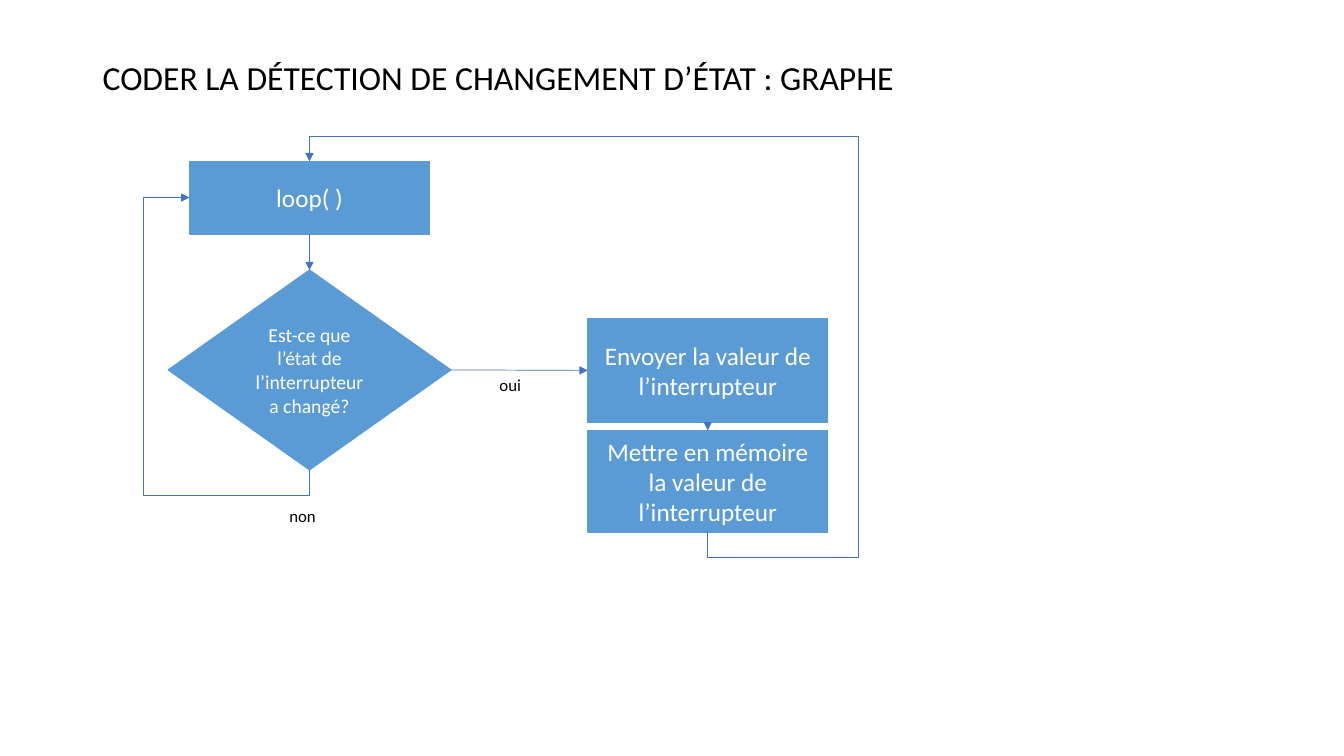
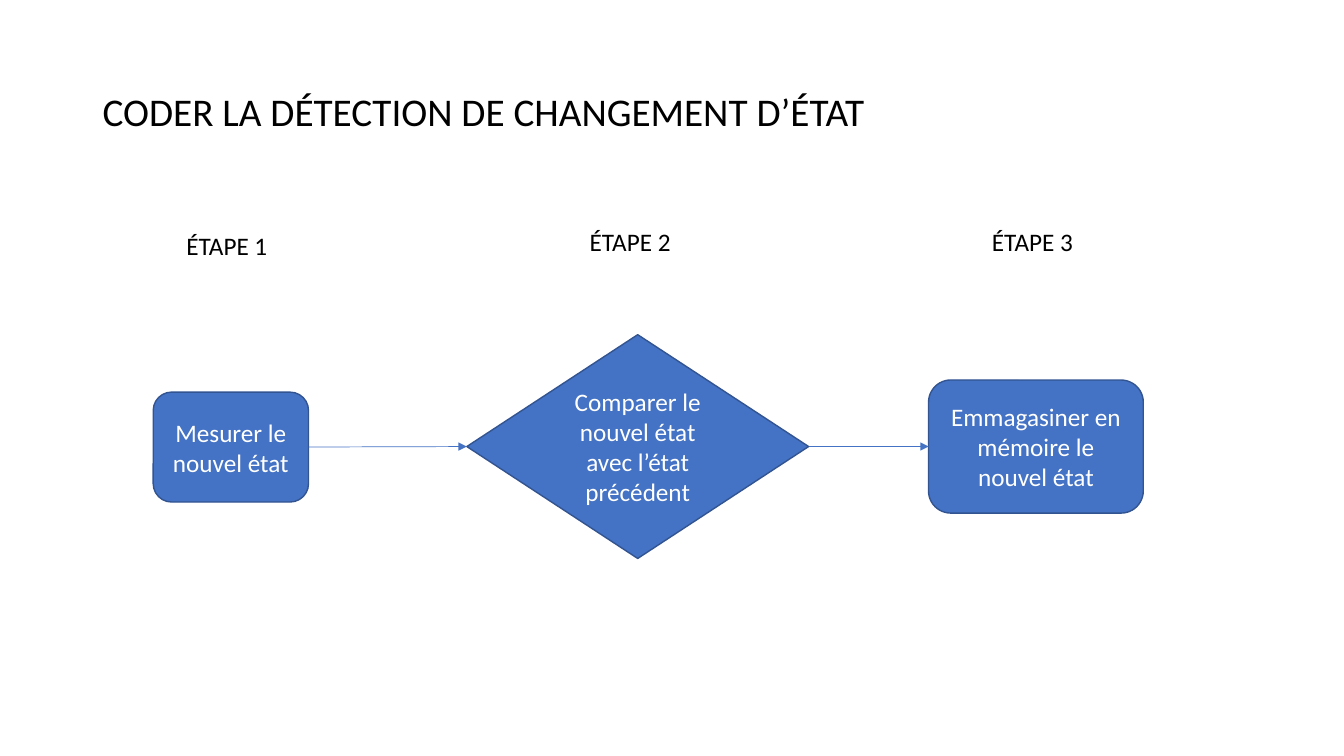
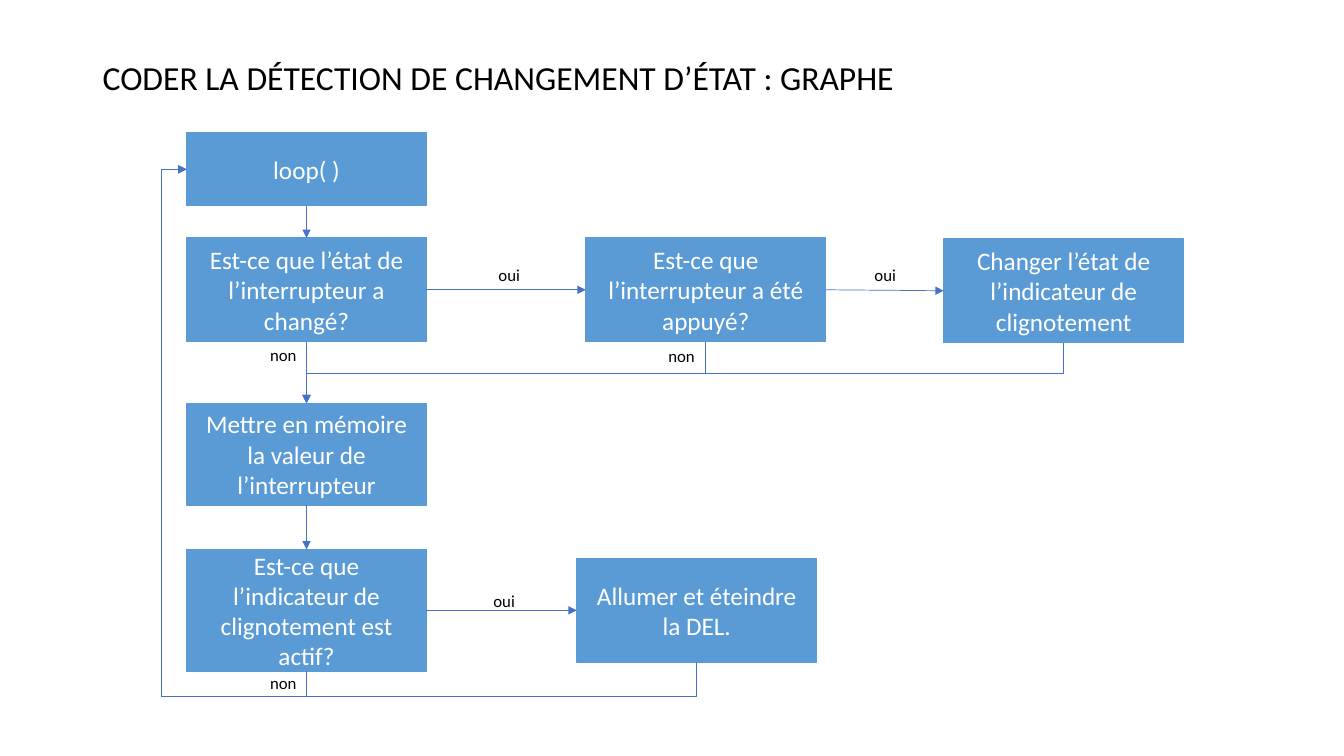
"""Build three flowchart slides on coding state change detection."""
from pptx import Presentation
from pptx.dml.color import RGBColor
from pptx.enum.shapes import MSO_CONNECTOR, MSO_SHAPE
from pptx.enum.text import MSO_ANCHOR, PP_ALIGN
from pptx.oxml.ns import qn
from pptx.util import Inches, Pt
from lxml.etree import SubElement

BLACK = RGBColor(0x00, 0x00, 0x00)
WHITE = RGBColor(0xFF, 0xFF, 0xFF)
SKY = RGBColor(0x5B, 0x9B, 0xD5)
BLUE = RGBColor(0x44, 0x72, 0xC4)
NAVY = RGBColor(0x32, 0x54, 0x91)

RECT, ROUND, GEM = MSO_SHAPE.RECTANGLE, MSO_SHAPE.ROUNDED_RECTANGLE, MSO_SHAPE.DIAMOND
TOP, LEFT, BASE, RIGHT = range(4)
WIDE, TALL = 2.38, 1.03

HEAD = "CODER LA DÉTECTION DE CHANGEMENT D’ÉTAT"
ASK = "Est-ce que l’état de l’interrupteur a changé?"
STORE = "Mettre en mémoire la valeur de l’interrupteur"
TAG = {"size": 12, "width": 0.62, "tall": 0.3, "align": PP_ALIGN.CENTER, "wrap": True}
STEP = {"size": 18, "width": 1.07, "tall": 0.4, "align": PP_ALIGN.LEFT, "wrap": False}

SLIDES = [
    {
        "title": (HEAD + " : GRAPHE", 24, 0.77),
        "colors": (SKY, SKY),
        "nodes": {
            "loop": (RECT, 1.88, 1.6, WIDE, 0.72, "loop( )", 18),
            "ask": (GEM, 1.67, 2.68, 2.8, 1.98, ASK, 14),
            "send": (RECT, 5.83, 3.16, WIDE, TALL, "Envoyer la valeur de l’interrupteur", 18),
            "store": (RECT, 5.83, 4.27, WIDE, 1.01, STORE, 18),
        },
        "links": [
            ("loop", BASE, "ask", TOP, ()),
            ("ask", RIGHT, "send", LEFT, ()),
            ("send", BASE, "store", TOP, ()),
            ("ask", BASE, "loop", LEFT, (4.91, 1.42)),
            ("store", BASE, "loop", TOP, (5.53, 8.51, 1.35)),
        ],
        "style": TAG,
        "labels": [("oui", 4.75, 3.67), ("non", 2.69, 4.97)],
    },
    {
        "title": (HEAD, 28, 1.45),
        "colors": (BLUE, NAVY),
        "nodes": {
            "read": (ROUND, 1.52, 3.89, 1.54, 1.09, "Mesurer le nouvel état", 18),
            "match": (GEM, 4.63, 3.32, 3.39, 2.22, "Comparer le nouvel état avec l’état précédent", 18),
            "store": (ROUND, 9.21, 3.77, 2.13, 1.32, "Emmagasiner en mémoire le nouvel état", 18),
        },
        "links": [
            ("read", RIGHT, "match", LEFT, ()),
            ("match", RIGHT, "store", LEFT, ()),
        ],
        "style": STEP,
        "labels": [("ÉTAPE 1", 1.75, 2.24), ("ÉTAPE 2", 5.75, 2.2), ("ÉTAPE 3", 9.74, 2.2)],
    },
    {
        "title": (HEAD + " : GRAPHE", 24, 0.77),
        "colors": (SKY, SKY),
        "nodes": {
            "loop": (RECT, 1.85, 1.32, WIDE, 0.72, "loop( )", 18),
            "ask": (RECT, 1.85, 2.36, WIDE, TALL, ASK, 18),
            "press": (RECT, 5.81, 2.36, WIDE, TALL, "Est-ce que l’interrupteur a été appuyé?", 18),
            "store": (RECT, 1.85, 4, WIDE, 1.01, STORE, 18),
            "flip": (RECT, 9.36, 2.37, WIDE, TALL, "Changer l’état de l’indicateur de clignotement", 18),
            "blink": (RECT, 5.72, 5.54, WIDE, TALL, "Allumer et éteindre la DEL.", 18),
            "test": (RECT, 1.85, 5.45, WIDE, 1.21, "Est-ce que l’indicateur de clignotement est actif?", 18),
        },
        "links": [
            ("loop", BASE, "ask", TOP, ()),
            ("ask", RIGHT, "press", LEFT, ()),
            ("press", RIGHT, "flip", LEFT, ()),
            ("press", BASE, "store", TOP, (3.7,)),
            ("flip", BASE, "store", TOP, (3.7,)),
            ("ask", BASE, "store", TOP, ()),
            ("store", BASE, "test", TOP, ()),
            ("test", RIGHT, "blink", LEFT, ()),
            ("test", BASE, "loop", LEFT, (6.91, 1.6)),
            ("blink", BASE, "loop", LEFT, (6.91, 1.6)),
        ],
        "style": TAG,
        "labels": [
            ("oui", 4.74, 2.58), ("oui", 8.47, 2.58), ("non", 6.45, 3.38),
            ("oui", 4.69, 5.81), ("non", 2.5, 3.37), ("non", 2.5, 6.62),
        ],
    },
]


def assign(item, values):
    """Set each named value on the item."""
    for name, value in values.items():
        setattr(item, name, value)


def write(shape, text, size, color, align, anchor, wrap=True, space=1.0):
    """Put one styled paragraph in a shape."""
    frame = shape.text_frame
    assign(frame, {"text": text, "word_wrap": wrap, "vertical_anchor": anchor})
    para = frame.paragraphs[0]
    assign(para, {"alignment": align, "line_spacing": space})
    assign(para.font, {"name": "Calibri", "size": Pt(size)})
    para.font.color.rgb = color


def add_text(slide, box, *style):
    """Add a text box with one paragraph."""
    write(slide.shapes.add_textbox(*map(Inches, box)), *style)


def add_node(slide, colors, kind, x, y, width, tall, text, size):
    """Add a filled flowchart shape and return it."""
    node = slide.shapes.add_shape(kind, *map(Inches, (x, y, width, tall)))
    node.shadow.inherit = False
    node.fill.solid()
    node.fill.fore_color.rgb, node.line.color.rgb = colors
    node.line.width = Pt(1)
    write(node, text, size, WHITE, PP_ALIGN.CENTER, MSO_ANCHOR.MIDDLE)
    return node


def bend(link, turns):
    """Route a link down from its start, through turns given as y, x, y."""
    start = (link.begin_y, link.begin_x)
    span = (link.end_y - link.begin_y, link.end_x - link.begin_x)
    mid_y, mid_x = (a + d // 2 for a, d in zip(start, span))
    width, tall = map(abs, span)
    assign(link, {"left": mid_x - width // 2, "top": mid_y - tall // 2,
                  "width": width, "height": tall})
    props = link._element.spPr
    frame = props.find(qn("a:xfrm"))
    for name, value in {"rot": "5400000", "flipH": str(int(span[0] < 0)), "flipV": "0"}.items():
        frame.set(name, value)
    shape = props.find(qn("a:prstGeom"))
    shape.set("prst", f"bentConnector{len(turns) + 2}")
    for i, turn in enumerate(turns):
        part = (Inches(turn) - start[i % 2]) / span[i % 2]
        SubElement(shape.find(qn("a:avLst")), qn("a:gd"),
                   name=f"adj{i + 1}", fmla=f"val {round(part * 100000)}")


def add_link(slide, first, out, last, into, turns):
    """Join two nodes with an arrow."""
    kind = MSO_CONNECTOR.ELBOW if turns else MSO_CONNECTOR.STRAIGHT
    link = slide.shapes.add_connector(kind, 0, 0, 0, 0)
    link.begin_connect(first, out)
    link.end_connect(last, into)
    if turns:
        bend(link, turns)
    link.line.color.rgb = BLUE
    link.line.width = Pt(0.5)
    SubElement(link.line._get_or_add_ln(), qn("a:tailEnd"), type="triangle")
    SubElement(link._element.spPr, qn("a:effectLst"))


def main():
    """Build and save the deck."""
    deck = Presentation()
    assign(deck, {"slide_width": Inches(13.33), "slide_height": Inches(7.5)})
    for page in SLIDES:
        slide = deck.slides.add_slide(deck.slide_layouts[6])
        title, size, tall = page["title"]
        add_text(slide, (0.92, 0.4, 11.5, tall), title, size, BLACK,
                 PP_ALIGN.LEFT, MSO_ANCHOR.MIDDLE, True, 0.9)
        nodes = {name: add_node(slide, page["colors"], *node)
                 for name, node in page["nodes"].items()}
        for first, out, last, into, turns in page["links"]:
            add_link(slide, nodes[first], out, nodes[last], into, turns)
        style = page["style"]
        for text, x, y in page["labels"]:
            add_text(slide, (x, y, style["width"], style["tall"]), text, style["size"],
                     BLACK, style["align"], MSO_ANCHOR.TOP, style["wrap"])
    deck.save("out.pptx")


if __name__ == "__main__":
    main()
